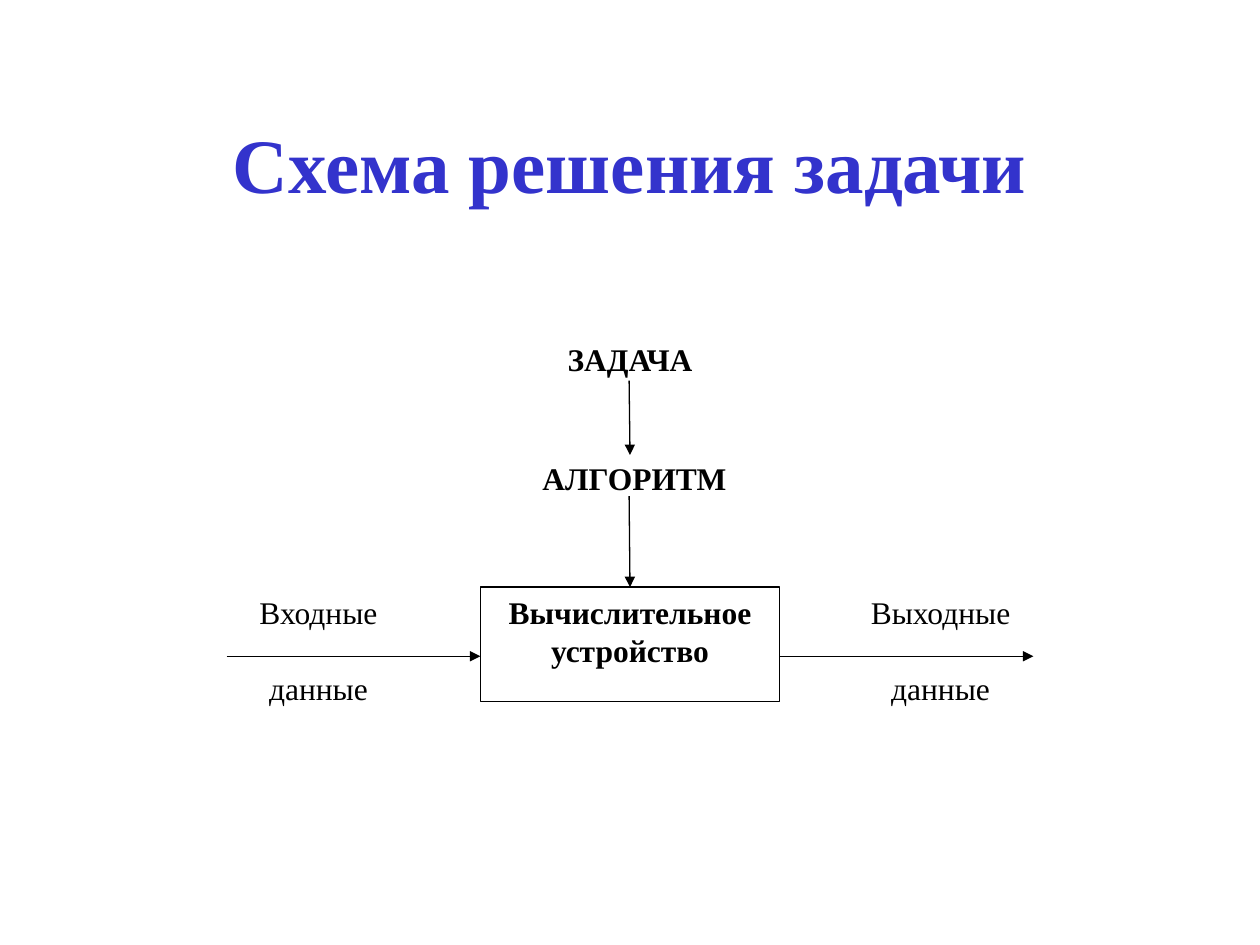
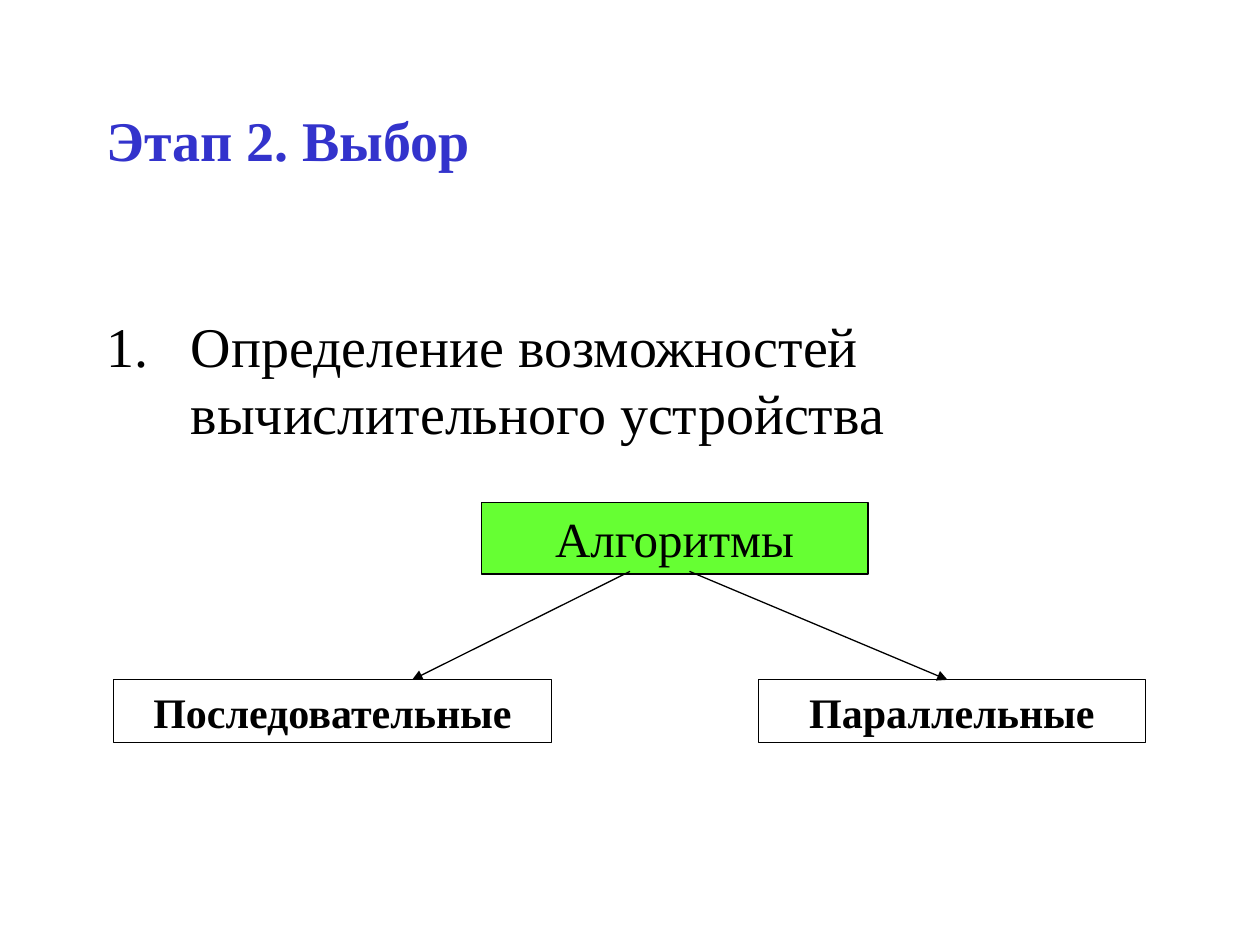
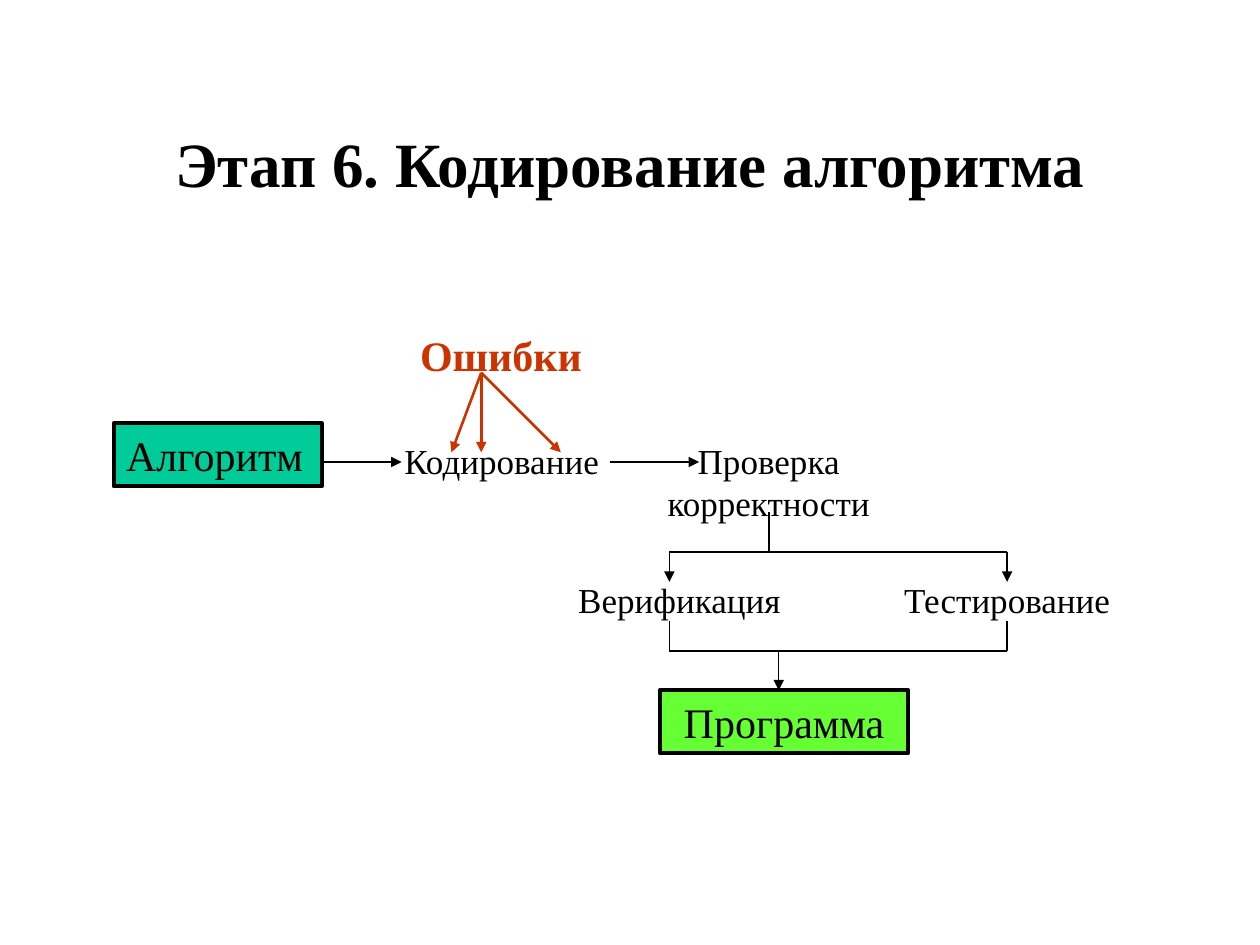
from dataclasses import dataclass
from typing import Optional

from lxml import etree
from pptx import Presentation
from pptx.dml.color import RGBColor
from pptx.enum.shapes import MSO_CONNECTOR, MSO_SHAPE
from pptx.enum.text import MSO_ANCHOR, MSO_AUTO_SIZE, PP_ALIGN
from pptx.oxml.ns import qn
from pptx.util import Pt

STRAIGHT = MSO_CONNECTOR.STRAIGHT
RECT = MSO_SHAPE.RECTANGLE
TOP, MIDDLE = MSO_ANCHOR.TOP, MSO_ANCHOR.MIDDLE
LEFT, CENTER = PP_ALIGN.LEFT, PP_ALIGN.CENTER
NO_RESIZE = MSO_AUTO_SIZE.NONE
TOP_SIDE = 0


@dataclass(frozen=True)
class Theme:
    font: str = "Times New Roman"
    black: str = "000000"
    white: str = "FFFFFF"
    blue: str = "3333CC"
    green: str = "66FF33"
    teal: str = "00CC99"
    red: str = "CC3300"
    hero: int = 44
    heading: int = 36
    body: int = 32
    large: int = 28
    medium: int = 24
    label: int = 20
    small: int = 18
    leading: float = 1.2
    thin: float = 0.75
    strong: float = 1.5
    thick: float = 2.25


THEME = Theme()


@dataclass(frozen=True)
class Box:
    text: str
    left: float
    top: float
    width: float
    height: float
    size: int
    bold: bool = False
    color: str = THEME.black
    align: PP_ALIGN = CENTER
    anchor: MSO_ANCHOR = TOP
    fill: Optional[str] = None
    border: float = 0
    gap: float = 0


@dataclass(frozen=True)
class Line:
    x1: float
    y1: float
    x2: float
    y2: float
    arrow: bool = True
    color: str = THEME.black
    weight: float = THEME.thin


def set_all(target, values: dict) -> None:
    for name, value in values.items():
        setattr(target, name, value)


def rgb(value: str) -> RGBColor:
    return RGBColor.from_string(value)


def add_box(s, box: Box):
    place = [Pt(v) for v in (box.left, box.top, box.width, box.height)]
    if box.fill or box.border:
        sp = s.shapes.add_shape(RECT, *place)
        sp.shadow.inherit = False
        if box.fill:
            sp.fill.solid()
            sp.fill.fore_color.rgb = rgb(box.fill)
        else:
            sp.fill.background()
        if box.border:
            sp.line.width = Pt(box.border)
            sp.line.color.rgb = rgb(THEME.black)
        else:
            sp.line.fill.background()
    else:
        sp = s.shapes.add_textbox(*place)
    tf = sp.text_frame
    set_all(tf, {"word_wrap": True, "auto_size": NO_RESIZE, "vertical_anchor": box.anchor})
    for i, text in enumerate(box.text.split("\n")):
        p = tf.add_paragraph() if i else tf.paragraphs[0]
        set_all(p, {"alignment": box.align, "line_spacing": Pt(box.size * THEME.leading)})
        if i:
            p.space_before = Pt(box.gap)
        r = p.add_run()
        r.text = text
        set_all(r.font, {"name": THEME.font, "size": Pt(box.size), "bold": box.bold})
        r.font.color.rgb = rgb(box.color)
    return sp


def add_line(s, line: Line):
    cx = s.shapes.add_connector(STRAIGHT, Pt(line.x1), Pt(line.y1), Pt(line.x2), Pt(line.y2))
    cx.line.width = Pt(line.weight)
    cx.line.color.rgb = rgb(line.color)
    if line.arrow:
        etree.SubElement(cx.line._get_or_add_ln(), qn("a:tailEnd"), type="triangle")
    etree.SubElement(cx._element.spPr, qn("a:effectLst"))
    return cx


def add_title(s, text: str, size: int, color: str = THEME.blue,
              align: PP_ALIGN = CENTER, height: float = 90) -> None:
    add_box(s, Box(text, 54, 48, 612, height, size, True, color, align, MIDDLE))


def number_paragraph(p, indent: float) -> None:
    pPr = p._p.get_or_add_pPr()
    pPr.set("marL", str(Pt(indent)))
    pPr.set("indent", str(-Pt(indent)))
    etree.SubElement(pPr, qn("a:buAutoNum"), type="arabicPeriod")


def scheme_slide(s) -> None:
    add_title(s, "Схема решения задачи", THEME.hero)
    row, flow = 335.5, 375
    for text, left in (("Выходные\nданные", 471.5), ("Входные\nданные", 116)):
        add_box(s, Box(text, left, row, 132, 78.5, THEME.small, fill=THEME.white,
                       gap=THEME.small * THEME.leading))
    for text, left, top in (("ЗАДАЧА", 274.5, 191), ("АЛГОРИТМ", 277, 258.5)):
        add_box(s, Box(text, left, top, 171, 39.5, THEME.small, True, fill=THEME.white))
    device = add_box(s, Box("Вычислительное устройство", 274.5, row, 171, 65.5, THEME.small,
                            True, fill=THEME.white, border=THEME.thin))
    for x1, x2 in ((129.5, 274.5), (445.5, 590.5)):
        add_line(s, Line(x1, flow, x2, flow))
    add_line(s, Line(359.5, 217.5, 360, 260))
    add_line(s, Line(359.5, 283.5, 360, row)).end_connect(device, TOP_SIDE)


def choice_slide(s) -> None:
    body = add_box(s, Box("Определение возможностей вычислительного устройства",
                          54, 174.5, 612, 305.5, THEME.body, align=LEFT))
    number_paragraph(body.text_frame.paragraphs[0], 48)
    add_box(s, Box("Алгоритмы", 275, 287, 221, 41, THEME.large,
                   fill=THEME.green, border=THEME.thin))
    kinds = (("Последовательные", 65, 250, 360, 235.5), ("Параллельные", 433.5, 221, 394, 541.5))
    for text, left, width, start, end in kinds:
        add_box(s, Box(text, left, 388.5, width, 36, THEME.medium, True, border=THEME.thin))
        add_line(s, Line(start, 326.5, end, 388.5))
    add_title(s, "Этап 2. Выбор", THEME.body, align=LEFT, height=63)


def coding_slide(s) -> None:
    add_title(s, "Этап 6. Кодирование алгоритма", THEME.heading, THEME.black)
    steps = (
        Box("Алгоритм", 65, 242, 119, 36, THEME.medium, align=LEFT,
            fill=THEME.teal, border=THEME.thick),
        Box("Программа", 377, 394.5, 142, 36, THEME.medium,
            fill=THEME.green, border=THEME.thick),
        Box("Кодирование", 224, 247.5, 130, 31.5, THEME.label, align=LEFT),
        Box("Проверка корректности", 360, 247.5, 158.5, 55.5, THEME.label),
        Box("Ошибки", 224, 185, 124.5, 36, THEME.medium, True, THEME.red),
        Box("Верификация", 309, 327, 158.5, 31.5, THEME.label),
        Box("Тестирование", 496, 327, 159, 31.5, THEME.label),
    )
    for step in steps:
        add_box(s, step)

    for x1, x2 in ((184.5, 229.5), (348.5, 399.5)):
        add_line(s, Line(x1, 264, x2, 264))

    branches = (382.5, 575.5)
    split, join = 315.5, 372
    add_line(s, Line(439.5, 292.5, 439.5, split, arrow=False))
    for y in (split, join):
        add_line(s, Line(branches[0], y, branches[1], y, arrow=False))
    for x in branches:
        add_line(s, Line(x, split, x, 332.5))
        add_line(s, Line(x, 355, x, join, arrow=False))
    add_line(s, Line(445, join, 445, 394.5))

    for x in (258, 275, 320.5):
        add_line(s, Line(275, 213, x, 258.5, color=THEME.red, weight=THEME.strong))


def main() -> None:
    prs = Presentation()
    set_all(prs, {"slide_width": Pt(720), "slide_height": Pt(540)})
    for build in (scheme_slide, choice_slide, coding_slide):
        build(prs.slides.add_slide(prs.slide_layouts[6]))
    prs.save("out.pptx")


if __name__ == "__main__":
    main()
